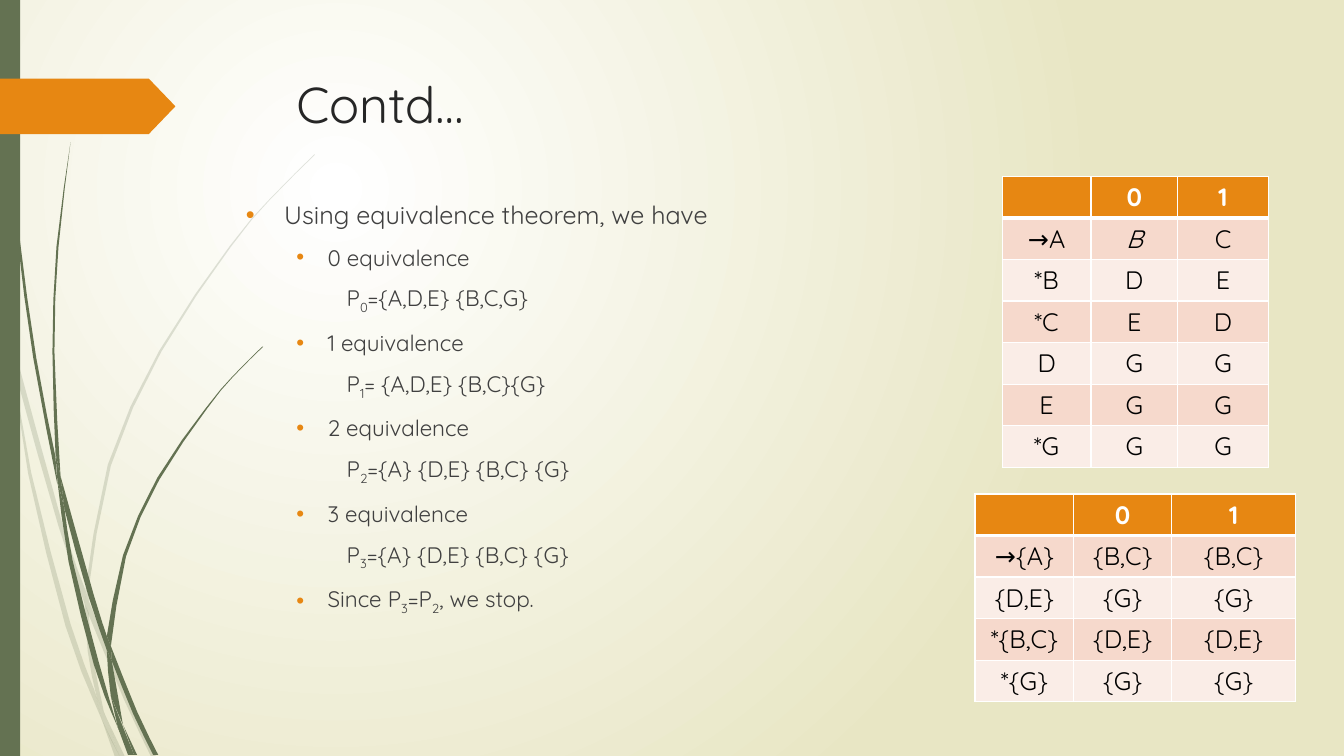
import math
import pptx
import pptx.dml.color
import pptx.enum.shapes
import pptx.enum.text
import pptx.oxml.ns
import pptx.util
from lxml import etree

Inches, Pt, qn = pptx.util.Inches, pptx.util.Pt, pptx.oxml.ns.qn
CENTER = pptx.enum.text.PP_ALIGN.CENTER
SHAPES = pptx.enum.shapes.MSO_SHAPE
WIDTH, HEIGHT = 13.33, 7.5
FONT = "Quicksand"
COLORS = {
    "glow": "FFFFFF", "edge": "E8E6C4", "grass": "647252", "accent": "E78712",
    "title": "262626", "body": "404040", "header": "FFFFFF", "cell": "000000",
    "odd": "F6D9CC", "even": "FAEDE7", "border": "FFFFFF",
}

TITLE = "Contd…"
# "_" lowers the character that follows it
CLAIM = "Using equivalence theorem, we have"
STEPS = [
    ("0 equivalence", "P_0={A,D,E} {B,C,G}"),
    ("1 equivalence", "P_1= {A,D,E} {B,C}{G}"),
    ("2 equivalence", "P_2={A} {D,E} {B,C} {G}"),
    ("3 equivalence", "P_3={A} {D,E} {B,C} {G}"),
]
CONCLUSION = "Since P_3=P_2, we stop."
TRANSITIONS = {
    "at": (9.94, 1.75), "columns": (0.88, 0.86, 0.9), "italic": (1, 1),
    "rows": [("", "0", "1"), ("→A", "B", "C"), ("*B", "D", "E"), ("*C", "E", "D"),
             ("D", "G", "G"), ("E", "G", "G"), ("*G", "G", "G")],
}
MINIMIZED = {
    "at": (9.67, 4.9), "columns": (0.98, 0.97, 1.23), "italic": None,
    "rows": [("", "0", "1"), ("→{A}", "{B,C}", "{B,C}"), ("{D,E}", "{G}", "{G}"),
             ("*{B,C}", "{D,E}", "{D,E}"), ("*{G}", "{G}", "{G}")],
}
CELL_SIZE = 18
ROW_HEIGHT = CELL_SIZE * 1.25 / 72 + 0.1  # one line of text and two margins

# Each blade of grass is two curved edges, joined at their ends
PALE_GRASS = [
    ([(.11, 3.5), (.09, 3.22), (0, 2.82)], [(0, 2.99), (.1, 3.44)]),
    ([(.14, 3.45), (.17, 3.76), (.58, 5.22), (.84, 5.99)], [(.85, 5.86), (.62, 5.2), (.14, 3.45)]),
    ([(.88, 5.96), (1.27, 6.92), (1.55, 7.51)], [(1.5, 7.51), (1.23, 6.94), (.88, 6.1)]),
    ([(1.05, 7.11), (1.24, 7.51)], [(1.19, 7.51)]),
    ([(.11, 3.5), (.31, 4.69), (.7, 6.19), (.93, 6.83), (1.01, 7.14)],
     [(.92, 6.93), (.65, 6.21), (.28, 4.7), (.11, 3.5)]),
    ([(.84, 5.99), (.87, 6.46), (.96, 6.92), (1.05, 7.11)], [(1.03, 7.06), (.91, 6.46), (.88, 6.08)]),
    ([(.88, 5.96), (.88, 5.84), (1.1, 4.62), (1.6, 3.49), (2.29, 2.45), (2.68, 1.98), (3.12, 1.54)],
     [(3.12, 1.53), (2.68, 1.97), (2.28, 2.44), (1.58, 3.48), (1.07, 4.61), (.85, 5.84)]),
    ([(1.01, 7.14), (1.14, 7.51)], [(1.19, 7.51)]),
    ([(.88, 6.1), (.88, 5.96), (.85, 5.86)], [(.84, 5.99)]),
    ([(.93, 6.83), (1.01, 7.14), (1.19, 7.51)], [(1.05, 7.11), (.96, 6.92)]),
]
DARK_GRASS = [
    ([(.03, 0), (.07, 1.1), (.17, 2.33), (.33, 3.55), (.57, 4.81)],
     [(.55, 4.53), (.36, 3.55), (.19, 2.32), (.08, 1.09), (.04, 0)]),
    ([(.6, 4.72), (.64, 5.05), (.88, 5.92), (1.06, 6.45)], [(1.06, 6.31), (.93, 5.9), (.6, 4.72)]),
    ([(1.1, 6.41), (1.36, 7.06), (1.57, 7.49)], [(1.52, 7.49), (1.32, 7.08), (1.11, 6.56)]),
    ([(.57, 4.77), (.64, 5.05), (.72, 5.56), (.98, 6.57), (1.17, 7.22)],
     [(1.11, 7.08), (.93, 6.59), (.68, 5.57), (.57, 4.77)]),
    ([(.6, 4.72), (.54, 3.49), (.58, 2.45), (.7, 1.41)],
     [(.7, 1.41), (.56, 2.45), (.52, 3.49), (.55, 4.49)]),
    ([(1.22, 7.19), (1.36, 7.49)], [(1.33, 7.49)]),
    ([(.57, 4.77), (.64, 5.05), (.6, 4.72)], [(.55, 4.49)]),
    ([(1.1, 6.41), (1.25, 5.52), (1.58, 4.76), (2.05, 4.06), (2.31, 3.74), (2.61, 3.44)],
     [(2.6, 3.44), (2.31, 3.73), (2.04, 4.05), (1.56, 4.74), (1.22, 5.51), (1.06, 6.31)]),
    ([(1.17, 7.22), (1.27, 7.49)], [(1.31, 7.49)]),
    ([(1.06, 6.45), (1.1, 6.91), (1.22, 7.19)], [(1.11, 6.56)]),
    ([(1.06, 6.45), (1.11, 6.56), (1.1, 6.41)], [(1.06, 6.31)]),
    ([(1.1, 6.91), (1.17, 7.22), (1.3, 7.49)], [(1.33, 7.49), (1.16, 7.06)]),
]


def rgb(name):
    """Return the palette colour called name."""
    return pptx.dml.color.RGBColor.from_string(COLORS[name])


def write(paragraph, text, size=16, color="body", bold=False, italic=False, align=None,
          left=0, hang=0, before=0, bullet=False):
    """Write formatted text, with an optional bullet, into a paragraph."""
    first, *others = text.split("_")
    pieces = [(first, False)]
    for part in others:
        pieces += [(part[0], True), (part[1:], False)]
    for piece, lowered in pieces if text else []:
        run = paragraph.add_run()
        run.text = piece
        run.font.name, run.font.size = FONT, Pt(size)
        run.font.bold, run.font.italic = bold, italic
        run.font.color.rgb = rgb(color)
        if lowered:
            run.font._element.set("baseline", "-25000")
    paragraph.alignment, paragraph.space_before = align, Pt(before)
    properties = paragraph._p.get_or_add_pPr()
    properties.set("marL", str(Inches(left)))
    properties.set("indent", str(Inches(-hang)))
    if bullet:
        dot_color = etree.SubElement(properties, qn("a:buClr"))
        etree.SubElement(dot_color, qn("a:srgbClr"), val=COLORS["accent"])
        etree.SubElement(properties, qn("a:buFont"), typeface="Arial")
        etree.SubElement(properties, qn("a:buChar"), char="•")


def text_frame(slide, *box):
    """Add a wrapping text box and return its frame."""
    frame = slide.shapes.add_textbox(*map(Inches, box)).text_frame
    frame.word_wrap = True
    return frame


def paint(shape, color, opacity=100):
    """Give a shape a plain fill without line or shadow."""
    shape.shadow.inherit = False
    shape.line.fill.background()
    shape.fill.solid()
    shape.fill.fore_color.rgb = rgb(color)
    if opacity < 100:
        fill_color = shape._element.spPr.find(".//" + qn("a:srgbClr"))
        etree.SubElement(fill_color, qn("a:alpha"), val=str(opacity * 1000))


def smooth(points):
    """Add a Catmull-Rom midpoint to each long stretch of an edge."""
    padded = [points[0], *points, points[-1]]
    curve = [points[0]]
    for a, b, c, d in zip(padded, padded[1:], padded[2:], padded[3:]):
        if math.dist(b, c) > 0.4:
            curve.append(tuple((9 * (q + r) - p - s) / 16 for p, q, r, s in zip(a, b, c, d)))
        curve.append(c)
    return curve


def add_grass(slide, blades, opacity):
    """Draw a tuft of grass blades."""
    for edges in blades:
        outline = [(Inches(x), Inches(y)) for edge in edges for x, y in smooth(edge)]
        builder = slide.shapes.build_freeform(*outline[0])
        builder.add_line_segments(outline[1:], close=True)
        paint(builder.convert_to_shape(), "grass", opacity)


def add_grid(slide, content):
    """Draw a state table with a header and banded rows."""
    rows, columns = content["rows"], content["columns"]
    size = sum(columns), ROW_HEIGHT * len(rows)
    table = slide.shapes.add_table(
        len(rows), len(columns), *map(Inches, content["at"] + size)).table
    for column, width in zip(table.columns, columns):
        column.width = Inches(width)
    for r, row in enumerate(rows):
        table.rows[r].height = Inches(ROW_HEIGHT)
        for c, text in enumerate(row):
            cell = table.cell(r, c)
            for side in "LRTB":
                thick = (r, side) in ((0, "B"), (1, "T"))
                line = etree.SubElement(cell._tc.get_or_add_tcPr(), qn("a:ln" + side),
                                        w=str(Pt(3 if thick else 1)))
                line_fill = etree.SubElement(line, qn("a:solidFill"))
                etree.SubElement(line_fill, qn("a:srgbClr"), val=COLORS["border"])
            cell.fill.solid()
            cell.fill.fore_color.rgb = rgb("accent" if r == 0 else "odd" if r % 2 else "even")
            write(cell.text_frame.paragraphs[0], text, CELL_SIZE, "cell" if r else "header",
                  bold=r == 0, italic=(r, c) == content["italic"], align=CENTER)


deck = pptx.Presentation()
deck.slide_width, deck.slide_height = Inches(WIDTH), Inches(HEIGHT)
slide = deck.slides.add_slide(deck.slide_layouts[6])
glow = slide.background.fill
glow.gradient()
for stop, color in zip(glow.gradient_stops, ("glow", "edge")):
    stop.color.rgb = rgb(color)
gradient = slide.element.find(".//" + qn("a:gradFill"))
gradient.remove(gradient.find(qn("a:lin")))
circle = etree.SubElement(gradient, qn("a:path"), path="circle")
etree.SubElement(circle, qn("a:fillToRect"), l="50000", t="50000", r="100000", b="100000")
add_grass(slide, PALE_GRASS, 20)
add_grass(slide, DARK_GRASS, 100)
paint(slide.shapes.add_shape(SHAPES.RECTANGLE, 0, 0, Inches(0.2), Inches(HEIGHT)), "grass")
marker = slide.shapes.add_shape(SHAPES.PENTAGON, 0, Inches(0.78), Inches(1.74), Inches(0.55))
marker.adjustments[0] = 0.48
paint(marker, "accent")
write(text_frame(slide, 2.84, 0.68, 9.75, 1.4).paragraphs[0], TITLE, size=36, color="title")
add_grid(slide, TRANSITIONS)
argument = text_frame(slide, 2.34, 1.93, 6.62, 4.13)
point = {"left": 0.81, "hang": 0.31, "before": 10, "bullet": True}
write(argument.paragraphs[0], CLAIM, size=18, left=0.38, hang=0.38, before=10, bullet=True)
for step, partition in STEPS:
    write(argument.add_paragraph(), step, **point)
    write(argument.add_paragraph(), partition, left=1, before=10)
write(argument.add_paragraph(), CONCLUSION, **point)
add_grid(slide, MINIMIZED)
deck.save("out.pptx")
